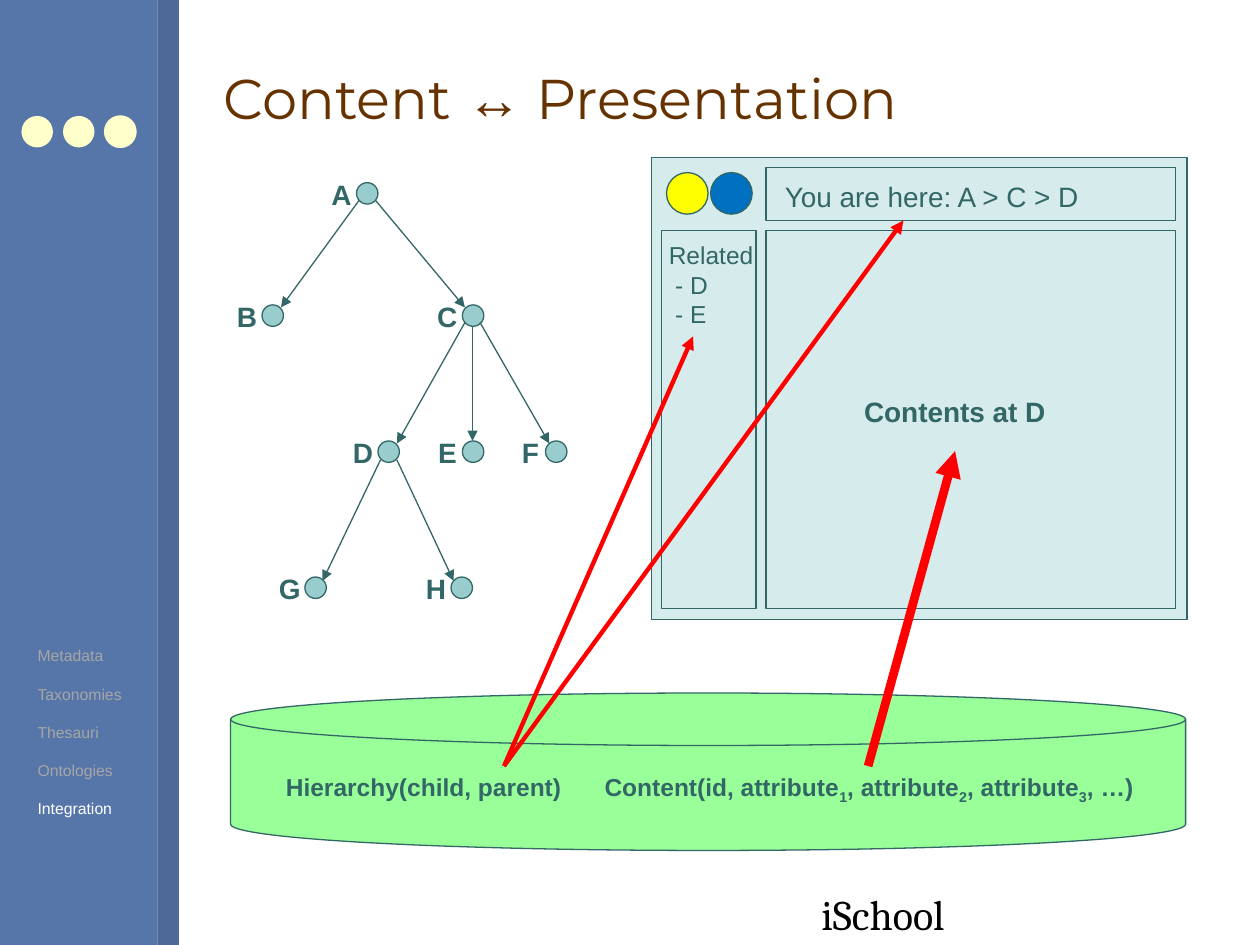
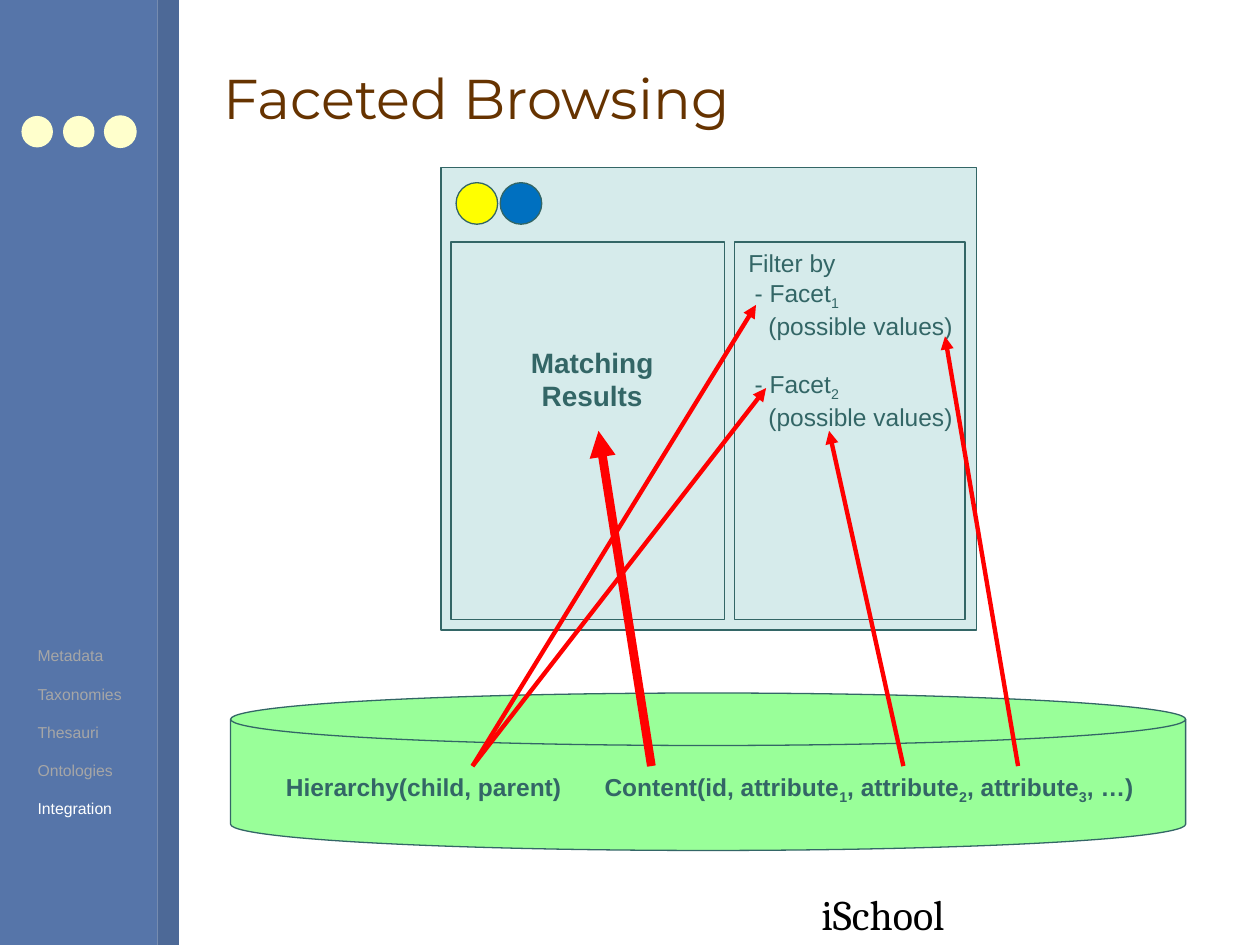
from dataclasses import dataclass

from lxml import etree
from pptx import Presentation
from pptx.dml.color import RGBColor
from pptx.enum.shapes import MSO_CONNECTOR, MSO_SHAPE as SHAPE
from pptx.enum.text import MSO_ANCHOR, MSO_AUTO_SIZE, PP_ALIGN as ALIGN
from pptx.oxml.ns import qn
from pptx.util import Inches, Pt


@dataclass(frozen=True)
class Theme:
    sidebar: str = "5675A9"
    sidebar_edge: str = "4D6997"
    dots: str = "FFFFCC"
    title: str = "663300"
    ink: str = "336666"
    node: str = "99CCCC"
    window: str = "D6EBEB"
    database: str = "99FF99"
    flow: str = "FF0000"
    faded: str = "A6A6A6"
    current: str = "FFFFFF"
    footer: str = "000000"
    badge: tuple = ("FFFF00", "0070C0")
    body_font: str = "Arial"
    title_font: str = "Montserrat"
    footer_font: str = "Cambria"
    title_size: float = 32
    footer_size: float = 24
    label_size: float = 16
    text_size: float = 14
    topic_size: float = 9
    hairline: float = 0.75
    thin_flow: float = 2.5
    thick_flow: float = 5


THEME = Theme()
TOPICS = ["Metadata", "Taxonomies", "Thesauri", "Ontologies", "Integration"]
CURRENT_TOPIC = "Integration"

NODE_SIZE = 0.17
NODES = {"A": (2.83, 1.45), "B": (2.08, 2.42), "C": (3.67, 2.42),
         "D": (3, 3.5), "E": (3.67, 3.5), "F": (4.33, 3.5),
         "G": (2.42, 4.58), "H": (3.58, 4.58)}
BRANCHES = ["AB", "AC", "CD", "CE", "CF", "DG", "DH"]


def rgb(color):
    return RGBColor.from_string(color)


def inches(values):
    return [Inches(round(value, 2)) for value in values]


def within(origin, box):
    """Shift a box given relative to origin onto the slide."""
    left, top, width, height = box
    return origin[0] + left, origin[1] + top, width, height


def add_figure(slide, kind, box, fill=None, line=THEME.ink):
    figure = slide.shapes.add_shape(kind, *inches(box))
    figure.shadow.inherit = False
    if fill:
        figure.fill.solid()
        figure.fill.fore_color.rgb = rgb(fill)
    else:
        figure.fill.background()
    if line:
        figure.line.color.rgb = rgb(line)
        figure.line.width = Pt(THEME.hairline)
    else:
        figure.line.fill.background()
    return figure


def add_run(paragraph, text, size, color=THEME.ink, font=THEME.body_font,
            bold=False, subscript=False):
    run = paragraph.add_run()
    run.text = text
    run.font.size = Pt(size)
    run.font.name = font
    run.font.bold = bold
    run.font.color.rgb = rgb(color)
    if subscript:
        run.font._element.set("baseline", "-25000")


def add_text(slide, box, lines, size, align=ALIGN.LEFT, wrap=False, **style):
    """Write one paragraph per line; text between underscores is subscript."""
    label = slide.shapes.add_textbox(*inches(box))
    frame = label.text_frame
    frame.word_wrap = wrap
    frame.auto_size = MSO_AUTO_SIZE.SHAPE_TO_FIT_TEXT
    for index, line in enumerate(lines):
        paragraph = frame.paragraphs[0] if index == 0 else frame.add_paragraph()
        paragraph.alignment = align
        for part, text in enumerate(line.split("_")):
            add_run(paragraph, text, size, subscript=part % 2 == 1, **style)
    return frame.paragraphs


def indent(paragraph, left):
    properties = paragraph._p.get_or_add_pPr()
    properties.set("marL", str(Inches(left)))
    properties.set("indent", "0")


def add_arrow(slide, start, end, color, width):
    arrow = slide.shapes.add_connector(MSO_CONNECTOR.STRAIGHT,
                                       *inches((*start, *end)))
    arrow.line.color.rgb = rgb(color)
    arrow.line.width = Pt(width)
    etree.SubElement(arrow.line._get_or_add_ln(), qn("a:tailEnd"), type="triangle")
    etree.SubElement(arrow._element.spPr, qn("a:effectLst"))


def add_flows(slide, *flows):
    for start, end, width in flows:
        add_arrow(slide, start, end, THEME.flow, width)


def add_sidebar(slide):
    add_figure(slide, SHAPE.RECTANGLE, (0, 0, 1.25, 7.5), THEME.sidebar, None)
    add_figure(slide, SHAPE.RECTANGLE, (1.25, 0, 0.17, 7.5), THEME.sidebar_edge, None)
    for index in range(3):
        outline = THEME.dots if index == 2 else None
        add_figure(slide, SHAPE.OVAL, (0.17 + index * 0.33, 0.92, 0.25, 0.25),
                   THEME.dots, outline)
    topics = add_text(slide, (0.2, 5.08, 0.88, 1.46), TOPICS, THEME.topic_size,
                      color=THEME.faded)
    for paragraph in topics[1:]:
        paragraph.space_before = Pt(10.9)
    current = topics[TOPICS.index(CURRENT_TOPIC)]
    current.runs[0].font.color.rgb = rgb(THEME.current)


def add_title(slide, parts):
    title = slide.shapes.title
    title.left, title.top, title.width, title.height = inches((1.67, 0.21, 8, 1.13))
    title.text_frame.vertical_anchor = MSO_ANCHOR.MIDDLE
    paragraph = title.text_frame.paragraphs[0]
    paragraph.alignment = ALIGN.LEFT
    for text, font in parts:
        add_run(paragraph, text, THEME.title_size, THEME.title, font)


def add_database(slide, left, top):
    add_figure(slide, SHAPE.FLOWCHART_MAGNETIC_DISK, (left, top, 7.58, 1.25),
               THEME.database)
    tables = [
        ((0.34, 0.58, 2.39, 0.34), "Hierarchy(child, parent)"),
        ((2.87, 0.58, 4.6, 0.37),
         "Content(id, attribute_1_, attribute_2_, attribute_3_, …)"),
    ]
    # Wrapping in a roomy box keeps each line at its left edge
    for box, table in tables:
        add_text(slide, within((left, top), box), [table], THEME.text_size,
                 wrap=True, bold=True)


def add_page(deck, title_parts):
    """Start a slide with everything the slides share."""
    slide = deck.slides.add_slide(deck.slide_layouts[5])
    add_sidebar(slide)
    add_title(slide, title_parts)
    add_text(slide, (6.42, 7, 1.27, 0.5), ["iSchool"], THEME.footer_size,
             color=THEME.footer, font=THEME.footer_font)
    add_database(slide, 1.83, 5.5)
    return slide


def add_tree(slide):
    radius = NODE_SIZE / 2
    for left, top in NODES.values():
        add_figure(slide, SHAPE.OVAL, (left, top, NODE_SIZE, NODE_SIZE), THEME.node)
    # Branches leave and meet the circles diagonally, or straight down
    for parent, child in BRANCHES:
        (px, py), (cx, cy) = NODES[parent], NODES[child]
        side = (cx > px) - (cx < px)
        dx, dy = (side * 0.06, 0.06) if side else (0, radius)
        add_arrow(slide, (px + radius + dx, py + radius + dy),
                  (cx + radius - dx, cy + radius - dy), THEME.ink, THEME.hairline)
    for name, (left, top) in NODES.items():
        add_text(slide, (left - 0.33, top - 0.09, 0.42, 0.37), [name],
                 THEME.label_size, ALIGN.CENTER, wrap=True, bold=True)


def add_window(slide, origin, panels):
    """Draw a web page frame with its site badge and panels."""
    add_figure(slide, SHAPE.RECTANGLE, within(origin, (0, 0, 4.25, 3.67)), THEME.window)
    for index, color in enumerate(THEME.badge):
        badge = (0.12 + index * 0.35, 0.12, 0.33, 0.33)
        add_figure(slide, SHAPE.OVAL, within(origin, badge), color)
    for panel in panels:
        add_figure(slide, SHAPE.RECTANGLE, within(origin, panel))


def add_content_window(slide, origin):
    add_window(slide, origin, [(0.91, 0.08, 3.25, 0.42), (0.91, 0.58, 3.25, 3),
                               (0.08, 0.58, 0.75, 3)])
    add_text(slide, within(origin, (0.96, 0.13, 2.58, 0.37)),
             ["You are here: A > C > D"], THEME.label_size)
    add_text(slide, within(origin, (1.59, 1.83, 1.64, 0.37)),
             ["Contents at D"], THEME.label_size, bold=True)
    related = add_text(slide, within(origin, (0.04, 0.61, 0.87, 0.8)),
                       ["Related", "- D", "- E"], THEME.text_size)
    for paragraph in related[1:]:
        indent(paragraph, 0.05)


def add_facet_window(slide, origin):
    add_window(slide, origin, [(0.08, 0.59, 2.17, 3), (2.33, 0.59, 1.83, 3)])
    add_text(slide, within(origin, (0.45, 1.36, 1.5, 0.64)), ["Matching", "Results"],
             THEME.label_size, ALIGN.CENTER, wrap=True, bold=True)
    values = "(possible values)"
    filters = add_text(slide, within(origin, (2.34, 0.59, 1.82, 1.57)),
                       ["Filter by", "- Facet_1_", values, "- Facet_2_", values],
                       THEME.text_size)
    for paragraph, left in zip(filters[1:], (0.05, 0.16) * 2):
        indent(paragraph, left)
    filters[3].space_before = Pt(16.1)


def build_content_slide(deck):
    slide = add_page(deck, [("Content ", THEME.title_font), ("↔", THEME.body_font),
                            (" Presentation", THEME.title_font)])
    add_tree(slide)
    add_content_window(slide, (5.17, 1.25))
    hierarchy = (4, 6.08)
    add_flows(slide,
              ((6.89, 6.08), (7.58, 3.58), THEME.thick_flow),
              (hierarchy, (5.5, 2.67), THEME.thin_flow),
              (hierarchy, (7.17, 1.75), THEME.thin_flow))


def build_facet_slide(deck):
    slide = add_page(deck, [("Faceted Browsing", THEME.title_font)])
    add_facet_window(slide, (3.5, 1.33))
    hierarchy = (3.75, 6.08)
    add_flows(slide,
              ((5.17, 6.08), (4.75, 3.42), THEME.thick_flow),
              ((7.17, 6.08), (6.58, 3.42), THEME.thin_flow),
              ((8.08, 6.08), (7.5, 2.67), THEME.thin_flow),
              (hierarchy, (6.08, 3.08), THEME.thin_flow),
              (hierarchy, (6, 2.42), THEME.thin_flow))


def main():
    deck = Presentation()
    deck.slide_width, deck.slide_height = Inches(10), Inches(7.5)
    build_content_slide(deck)
    build_facet_slide(deck)
    deck.save("out.pptx")


if __name__ == "__main__":
    main()
